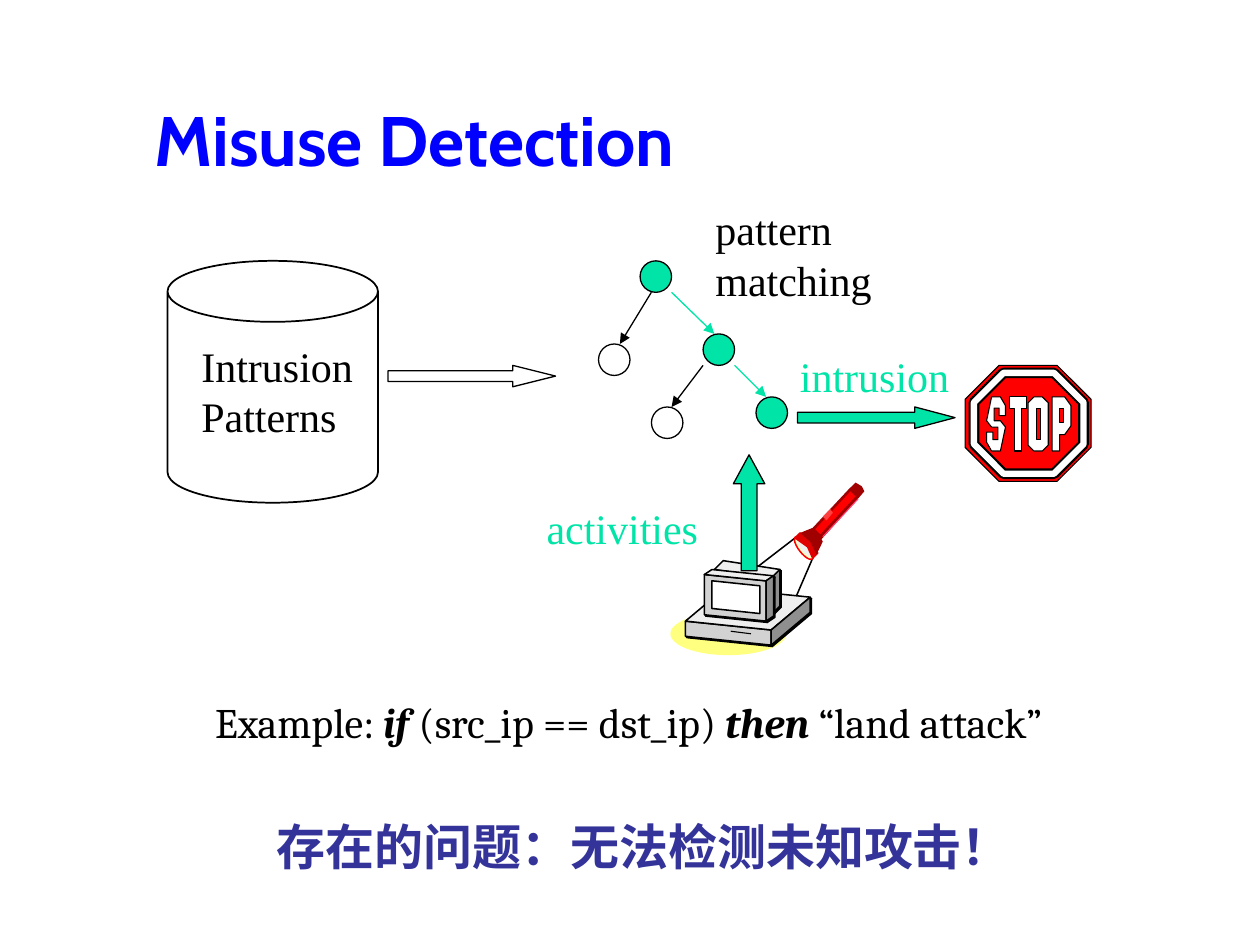
from pptx import Presentation
from pptx.dml.color import RGBColor
from pptx.enum.shapes import MSO_CONNECTOR, MSO_SHAPE
from pptx.enum.text import MSO_ANCHOR, PP_ALIGN
from pptx.oxml.ns import qn
from pptx.util import Pt
from lxml import etree

PX = 9144  # 100 px to the inch
OVAL, RECT, CAN = MSO_SHAPE.OVAL, MSO_SHAPE.RECTANGLE, MSO_SHAPE.CAN
RIGHT, UP, OCTAGON = MSO_SHAPE.RIGHT_ARROW, MSO_SHAPE.UP_ARROW, MSO_SHAPE.OCTAGON
LINE = MSO_CONNECTOR.STRAIGHT
TOP, BOTTOM = MSO_ANCHOR.TOP, MSO_ANCHOR.BOTTOM
LEFT, CENTER = PP_ALIGN.LEFT, PP_ALIGN.CENTER

BLACK = RGBColor.from_string("000000")
WHITE = RGBColor.from_string("FFFFFF")
BLUE = RGBColor.from_string("0000FF")
NAVY = RGBColor.from_string("333399")
GREEN = RGBColor.from_string("00E4A8")
GLOW = RGBColor.from_string("FFFF80")
CREAM = RGBColor.from_string("FFFFC2")
RED = RGBColor.from_string("FF0000")
CRIMSON = RGBColor.from_string("E10000")
DARK = RGBColor.from_string("A00000")
CORAL = RGBColor.from_string("FF4040")
PINK = RGBColor.from_string("FF4070")
PALE = RGBColor.from_string("EFEFEF")
LIGHT = RGBColor.from_string("D2D2D2")
GRAY = RGBColor.from_string("8F8F8F")

SERIF = "Times New Roman"
THIN, ART, SIGN = 0.75, 0.88, 0.63


def paint(shape, fill, line, width):
    shape.shadow.inherit = False
    if fill is None:
        shape.fill.background()
    else:
        shape.fill.solid()
        shape.fill.fore_color.rgb = fill
    if line is None:
        shape.line.fill.background()
    else:
        shape.line.color.rgb = line
        shape.line.width = Pt(width)


def add_form(slide, kind, box, fill=None, line=BLACK, width=THIN, adj=(), turn=0):
    shape = slide.shapes.add_shape(kind, *(v * PX for v in box))
    for i, val in enumerate(adj):
        shape.adjustments[i] = val
    shape.rotation = turn
    paint(shape, fill, line, width)


def add_path(slide, pts, fill, line=BLACK, width=ART):
    pen = slide.shapes.build_freeform(*pts[0], scale=PX)
    pen.add_line_segments(pts[1:], close=True)
    paint(pen.convert_to_shape(), fill, line, width)


def add_line(slide, ends, color=BLACK, width=THIN, head=False):
    line = slide.shapes.add_connector(LINE, *(v * PX for v in ends))
    line.line.color.rgb = color
    line.line.width = Pt(width)
    if head:
        etree.SubElement(line._element.spPr.find(qn("a:ln")), qn("a:tailEnd"),
                         type="triangle")
    etree.SubElement(line._element.spPr, qn("a:effectLst"))


def add_text(slide, box, runs, size=24, font=SERIF, color=BLACK, bold=False,
             wrap=True, align=LEFT, anchor=TOP):
    """Runs are (text, stressed) pairs; stressed ones are bold italic."""
    frame = slide.shapes.add_textbox(*(v * PX for v in box)).text_frame
    frame.word_wrap = wrap
    frame.vertical_anchor = anchor
    par = frame.paragraphs[0]
    par.alignment = align
    for text, stress in runs:
        run = par.add_run()
        run.text = text
        run.font.size, run.font.name = Pt(size), font
        run.font.color.rgb = color
        run.font.bold = bold or stress
        run.font.italic = stress


def add_block(slide, left, right, back, high, shift=0):
    """Slanted box: front edge from left to right, then its depth and height."""
    def move(pt, step):
        return pt[0] + step[0], pt[1] + step[1]

    left, right = (move(pt, (shift, shift)) for pt in (left, right))
    down = (0, high)
    faces = (((left, right), down, LIGHT), ((left, right), back, PALE),
             ((right, move(right, back)), down, GRAY))
    for (start, end), step, fill in faces:
        pts = [start, end, move(end, step), move(start, step)]
        add_path(slide, pts, BLACK if shift else fill)


def add_torch(slide):
    # Lens, hood and handle
    add_form(slide, OVAL, (634, 424, 8, 22), CREAM, RED, ART, turn=-38)
    add_form(slide, OVAL, (636, 427, 5, 16), PALE, None, turn=-38)
    add_path(slide, [(645, 443), (641, 434), (631, 427), (635, 423), (643, 429),
                     (649, 439)], CRIMSON, CRIMSON)
    add_path(slide, [(648, 440), (653, 430), (652, 428), (680, 397), (686, 390),
                     (684, 386), (679, 383), (673, 389), (645, 419), (635, 423),
                     (643, 430)], DARK, None)
    # Stripe, switch and gleam
    add_path(slide, [(647, 420), (675, 390), (679, 394), (651, 424)], RED, None)
    add_path(slide, [(653, 410), (659, 404), (661, 407), (656, 413)], CORAL, None)
    add_line(slide, (653, 426, 681, 396), PINK, SIGN)


def add_scene(slide):
    # Light beam
    add_line(slide, (631, 427, 540, 497), width=ART)
    add_line(slide, (645, 443, 623, 494), width=ART)
    add_form(slide, OVAL, (532, 486, 92, 34), GLOW, None)
    add_torch(slide)
    # Computer: base, tube and case, each over a black shadow
    for block in (((544, 493), (612, 500), (31, -26), 12),
                  ((567, 452), (612, 459), (7, -7), 29),
                  ((559, 456), (608, 461), (6, -4), 32)):
        for shift in (1, 0):
            add_block(slide, *block, shift)
    add_path(slide, [(565, 461), (603, 465), (603, 487), (565, 483)], WHITE)
    add_line(slide, (580, 501, 596, 503), width=SIGN)


def add_tree(slide):
    for x, y, fill in ((508, 207, GREEN), (558, 265, GREEN), (475, 273, None),
                       (600, 315, GREEN), (517, 323, None)):
        add_form(slide, OVAL, (x, y, 25, 25), fill)
    for ends, color in (((517, 232, 492, 273), BLACK), ((533, 232, 567, 265), GREEN),
                        ((558, 290, 533, 323), BLACK), ((583, 290, 608, 315), GREEN)):
        add_line(slide, ends, color, head=True)


def add_sign(slide):
    add_form(slide, OCTAGON, (766, 290, 100, 92), RED, width=SIGN)
    for color, width in ((BLACK, 6.13), (WHITE, 3.63)):
        add_form(slide, OCTAGON, (773, 296, 87, 80), None, color, width)
    # The S is a half turned about its centre, the T a half mirrored
    top, low = 315, 358
    half = [(787, top), (794, top), (798, 322), (798, 330), (793, 330), (793, 324),
            (789, 324), (789, 334), (794, 334), (798, 339)]
    ess = half + [(783 + 798 - x, top + low - y) for x, y in half]
    half = [(801, top), (801, 324), (805, 324), (805, low)]
    tee = half + [(801 + 815 - x, y) for x, y in reversed(half)]
    pee = [(835, top), (845, top), (850, 322), (850, 338), (845, 345), (841, 345),
           (841, low), (835, low)]
    for pts in (ess, tee, pee):
        add_path(slide, pts, WHITE, width=SIGN)
    add_form(slide, OCTAGON, (816, top, 16, 43), WHITE, width=SIGN)
    for x, high in ((823, 25), (841, 11)):
        add_form(slide, RECT, (x, 324, 3, high), RED, width=SIGN)


def main():
    prs = Presentation()
    prs.slide_width, prs.slide_height = 1000 * PX, 750 * PX
    slide = prs.slides.add_slide(prs.slide_layouts[6])
    add_text(slide, (113, 23, 850, 125), [("Misuse Detection", False)], 40, "Cabin",
             BLUE, bold=True, anchor=BOTTOM)
    # Pattern store
    add_form(slide, CAN, (133, 207, 167, 192), width=1, adj=(0.29,))
    add_text(slide, (150, 265, 167, 90), [("Intrusion Patterns", False)])
    add_scene(slide)
    # Flow of activities into the matching tree
    add_form(slide, UP, (582, 361, 25, 92), GREEN, adj=(0.5, 0.92))
    add_text(slide, (424, 394, 150, 50), [("activities", False)], color=GREEN)
    add_tree(slide)
    add_text(slide, (558, 157, 167, 90), [("pattern matching", False)])
    add_form(slide, RIGHT, (308, 290, 133, 17), adj=(0.5, 2))
    # Outcome
    add_sign(slide)
    add_form(slide, RIGHT, (633, 323, 125, 17), GREEN, adj=(0.5, 1.88))
    add_text(slide, (625, 273, 158, 50), [("intrusion", False)], color=GREEN)
    # Closing remarks
    add_text(slide, (205, 643, 612, 57), [("存在的问题：无法检测未知攻击！", False)], 28,
             "Comic Neue", NAVY, bold=True, wrap=False, align=CENTER)
    add_text(slide, (161, 548, 676, 50),
             [("Example: ", False), ("if", True), (" (src_ip == dst_ip) ", False),
              ("then", True), (" “land attack”", False)], font="Cambria", wrap=False)
    prs.save("out.pptx")


if __name__ == "__main__":
    main()
